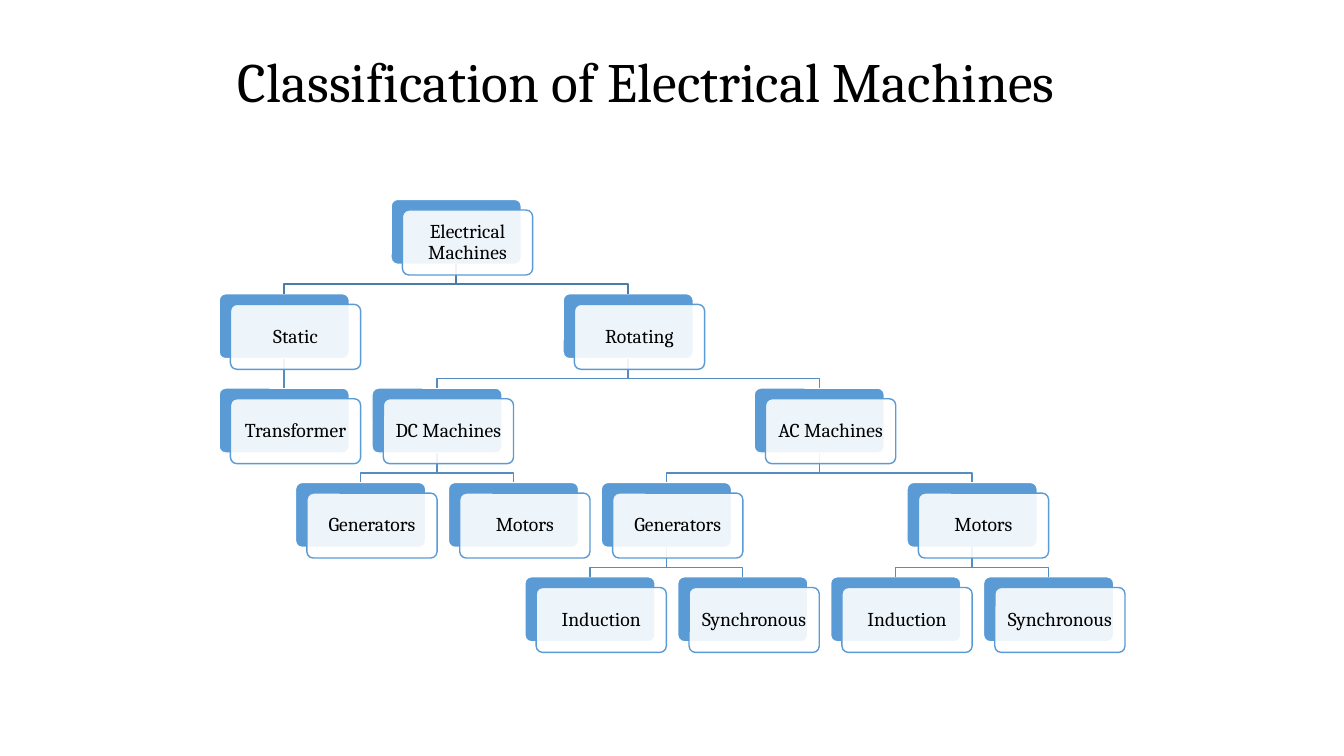
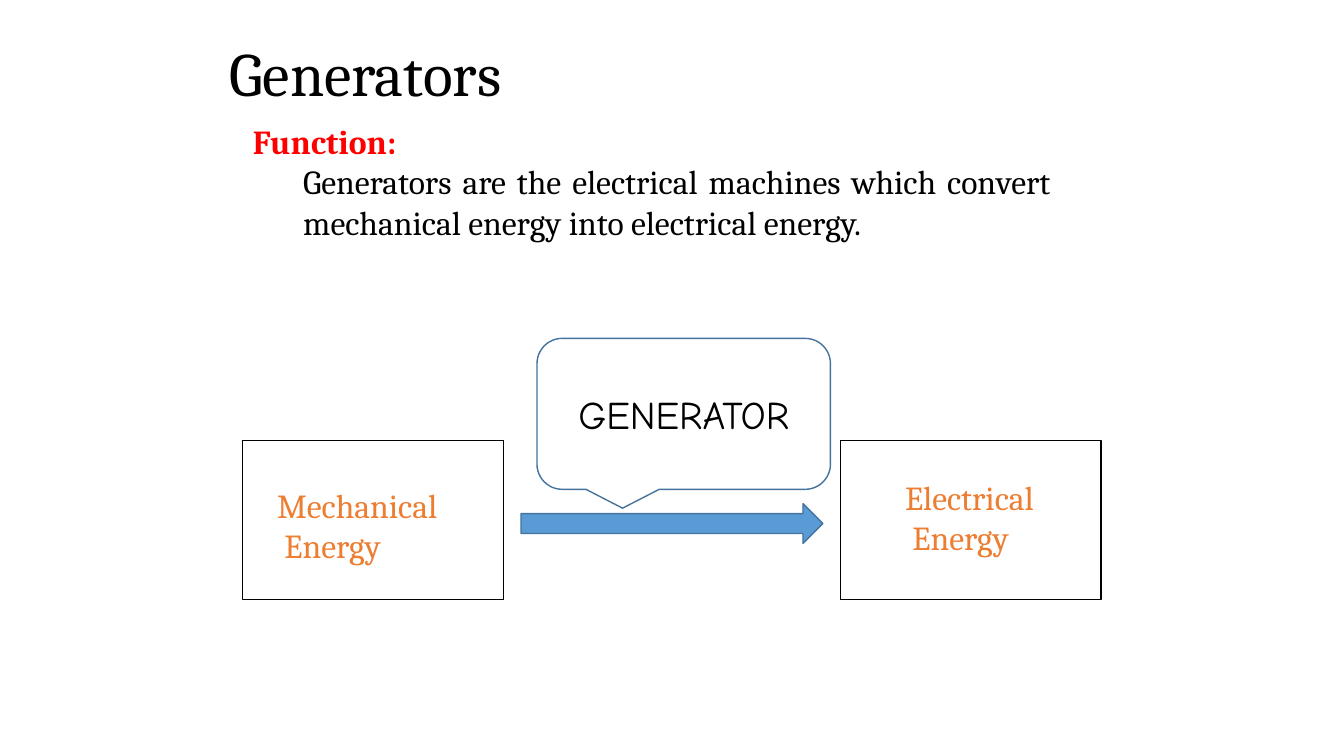
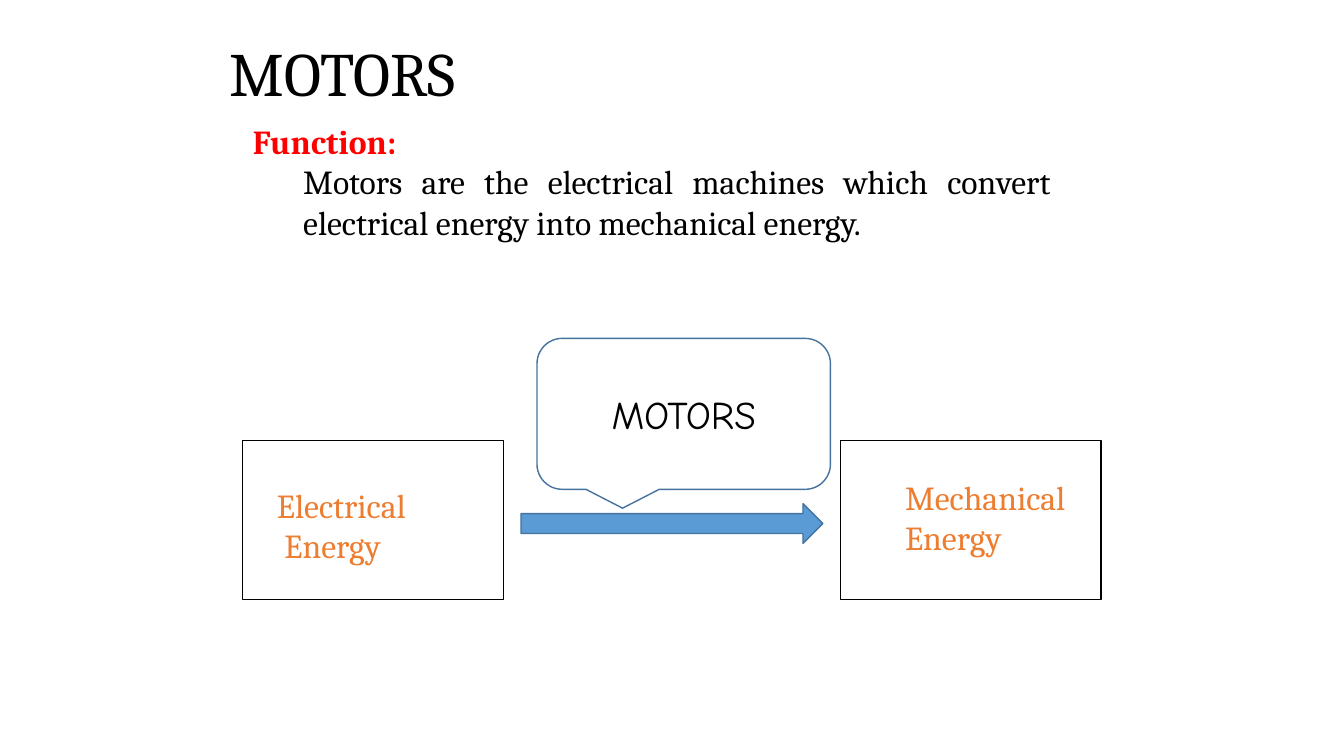
from lxml.etree import SubElement
from pptx import Presentation
from pptx.dml.color import RGBColor
from pptx.enum.shapes import MSO_CONNECTOR as LINK, MSO_SHAPE as FORM
from pptx.enum.text import MSO_ANCHOR as ANCHOR, MSO_AUTO_SIZE as SIZE, PP_ALIGN as ALIGN
from pptx.oxml.ns import qn
from pptx.util import Pt

BLACK = RGBColor(0x00, 0x00, 0x00)
WHITE = RGBColor(0xFF, 0xFF, 0xFF)
RED = RGBColor(0xFF, 0x00, 0x00)
ORANGE = RGBColor(0xED, 0x7D, 0x31)
BLUE = RGBColor(0x5B, 0x9B, 0xD5)
EDGE = RGBColor(0x43, 0x73, 0x9E)
TOP_LINK = RGBColor(0x49, 0x7C, 0xAB)
LOW_LINK = RGBColor(0x53, 0x8D, 0xC1)


def write(shape, lines, frame, para, font):
    """Fill a shape with (text, indent, font changes) lines."""
    body = shape.text_frame
    for key, value in frame.items():
        setattr(body, key, value)
    for i, (text, indent, change) in enumerate(lines):
        p = body.add_paragraph() if i else body.paragraphs[0]
        p.text = text
        if indent:
            p._p.get_or_add_pPr().set("marL", str(Pt(indent)))
        for key, value in para.items():
            setattr(p, key, value)
        look = {"name": "Cambria", **font, **change}
        p.font.color.rgb = look.pop("color", BLACK)
        for key, value in look.items():
            setattr(p.font, key, value)


def draw(page, form, box, fill, edge, width=1):
    shape = page.shapes.add_shape(form, *map(Pt, box))
    shape.shadow.inherit = False
    if fill is None:
        shape.fill.background()
    else:
        shape.fill.solid()
        shape.fill.fore_color.rgb = fill
    shape.line.color.rgb = edge
    shape.line.width = Pt(width)
    return shape


deck = Presentation()
deck.slide_width, deck.slide_height = Pt(960), Pt(540)

# Titles
TITLES = [
    ("Classification of Electrical Machines", (162.7, 15.1, 648, 90), 39.6),
    ("Generators", (157, 25.9, 648, 56.9), 44),
    ("MOTORS", (157, 25.9, 648, 56.9), 44),
]
pages = []
for text, box, size in TITLES:
    page = deck.slides.add_slide(deck.slide_layouts[6])
    title = page.shapes.add_textbox(*map(Pt, box))
    write(title, [(text, 0, {})],
          {"word_wrap": True, "vertical_anchor": ANCHOR.MIDDLE},
          {"line_spacing": 0.9}, {"size": Pt(size)})
    pages.append(page)

# Machine tree: name, column, level, parent row
TREE = [
    ("Electrical Machines", 2.25, 0, None),
    ("Static", 0, 1, 0),
    ("Rotating", 4.5, 1, 0),
    ("Transformer", 0, 2, 1),
    ("DC Machines", 2, 2, 2),
    ("AC Machines", 7, 2, 2),
    ("Generators", 1, 3, 4),
    ("Motors", 3, 3, 4),
    ("Generators", 5, 3, 5),
    ("Motors", 9, 3, 5),
    ("Induction", 4, 4, 8),
    ("Synchronous", 6, 4, 8),
    ("Induction", 8, 4, 9),
    ("Synchronous", 10, 4, 9),
]
LEFT, TOP, COL, ROW = 156.5, 142.4, 54.6, 67.4
WIDE, HIGH, TURN = 93, 46.4, 14.2
SHIFT_X, SHIFT_Y = 8.1, 7.6
page = pages[0]
spots = [(LEFT + col * COL, TOP + level * ROW) for name, col, level, up in TREE]

plates = []
for x, y in spots:
    plate = draw(page, FORM.ROUNDED_RECTANGLE, (x, y, WIDE, HIGH), BLUE, WHITE)
    plate.adjustments[0] = 0.1
    plates.append(plate)

for (name, col, level, up), (x, y), plate in zip(TREE, spots, plates):
    if up is None:
        continue
    x1, y1 = spots[up][0] + WIDE / 2, spots[up][1] + HIGH
    x2 = x + WIDE / 2
    if x1 == x2:
        link = page.shapes.add_connector(LINK.STRAIGHT, Pt(x1), Pt(y1), Pt(x2), Pt(y))
        link.begin_connect(plates[up], 2)
        link.end_connect(plate, 0)
        SubElement(link._element.spPr, qn("a:effectLst"))
    else:
        pen = page.shapes.build_freeform(Pt(x1), Pt(y1))
        bend = y1 + TURN
        pen.add_line_segments([(Pt(x1), Pt(bend)), (Pt(x2), Pt(bend)), (Pt(x2), Pt(y))],
                              close=False)
        link = pen.convert_to_shape()
        link.fill.background()
        link.shadow.inherit = False
    link.line.color.rgb = TOP_LINK if level == 1 else LOW_LINK
    link.line.width = Pt(1)

for (name, *_), (x, y) in zip(TREE, spots):
    card = draw(page, FORM.ROUNDED_RECTANGLE,
                (x + SHIFT_X, y + SHIFT_Y, WIDE, HIGH), WHITE, BLUE)
    card.adjustments[0] = 0.1
    tint = card._element.spPr.find(qn("a:solidFill")).find(qn("a:srgbClr"))
    SubElement(tint, qn("a:alpha")).set("val", "90000")
    sides = ("left", "right", "top", "bottom")
    write(card, [(name, 0, {})],
          {"word_wrap": True, "vertical_anchor": ANCHOR.MIDDLE,
           **{f"margin_{side}": Pt(5.5) for side in sides}},
          {"alignment": ALIGN.CENTER, "line_spacing": 0.9}, {"size": Pt(14)})

# Energy flow: definition, callout, then (source, result) as word, width, indent
FLOWS = [
    ("Generators are the electrical machines which convert mechanical energy "
     "into electrical energy.", "GENERATOR",
     [("Mechanical", 137.5, 5.3), ("Electrical", 113, 5.3)]),
    ("Motors are the electrical machines which convert electrical energy "
     "into mechanical energy.", "MOTORS",
     [("Electrical", 113, 5.3), ("Mechanical", 143.3, 0)]),
]
ENDS = [(173.5, 190.8, 342.7), (600.5, 639.4, 337)]
for page, (text, name, words) in zip(pages[1:], FLOWS):
    body = page.shapes.add_textbox(Pt(173.5), Pt(82.8), Pt(584), Pt(116.6))
    write(body, [("Function:", 0, {"color": RED, "bold": True}), (text, 36, {})],
          {"word_wrap": True}, {"alignment": ALIGN.JUSTIFY}, {"size": Pt(24)})
    for x, _, _ in ENDS:
        draw(page, FORM.RECTANGLE, (x, 314.6, 186, 114), None, BLACK, 0.75)
    for (_, x, y), (word, wide, indent) in zip(ENDS, words):
        label = page.shapes.add_textbox(Pt(x), Pt(y), Pt(wide), Pt(65.4))
        write(label, [(word, 0, {}), ("Energy", indent, {})],
              {"word_wrap": False, "auto_size": SIZE.SHAPE_TO_FIT_TEXT},
              {"alignment": ALIGN.LEFT}, {"size": Pt(24), "color": ORANGE})
    draw(page, FORM.RIGHT_ARROW, (372.2, 359.8, 215.6, 28.4), BLUE, EDGE)
    bubble = draw(page, FORM.ROUNDED_RECTANGULAR_CALLOUT,
                  (383.6, 241.7, 209.6, 107.8), WHITE, EDGE)
    write(bubble, [(name, 0, {})],
          {"word_wrap": True, "vertical_anchor": ANCHOR.MIDDLE},
          {"alignment": ALIGN.CENTER}, {"size": Pt(28), "name": "Comic Neue"})

deck.save("out.pptx")
